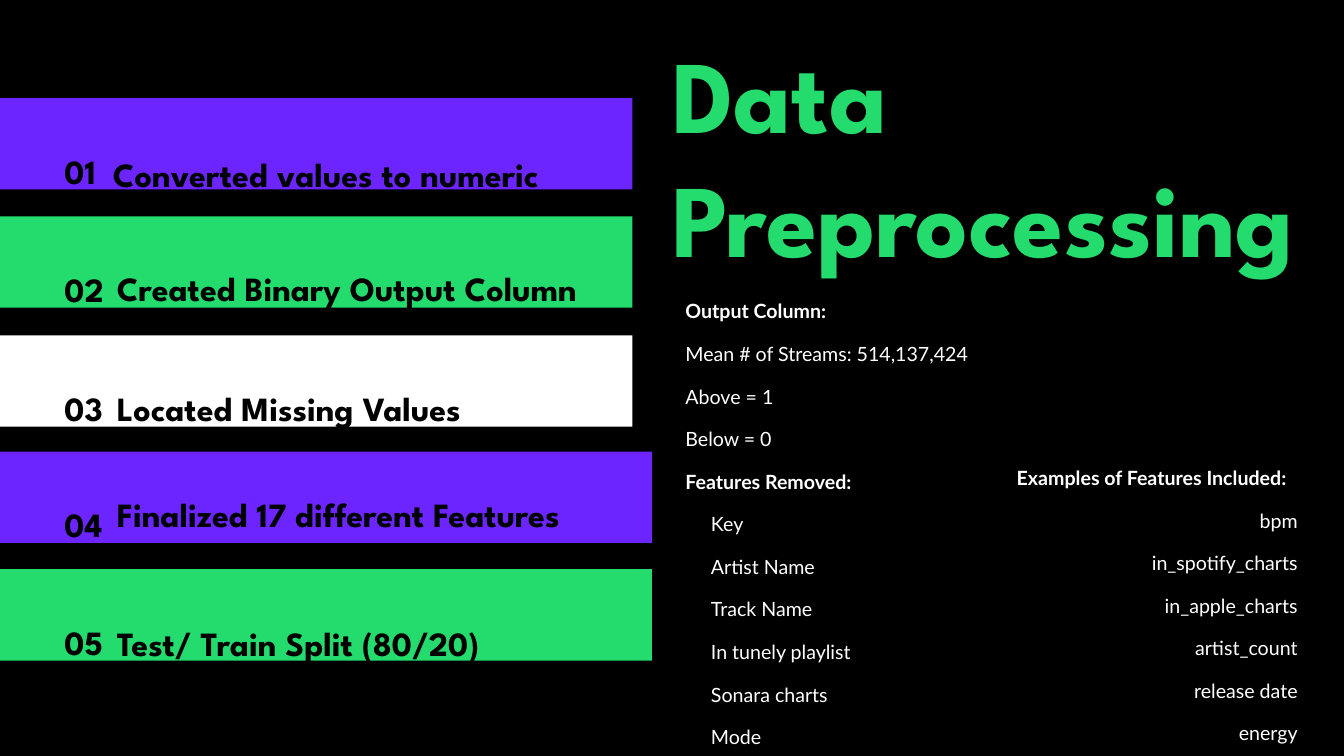
"""Build the data preprocessing slide with five steps and two feature lists."""
from dataclasses import dataclass

import pptx
import pptx.dml.color
import pptx.enum.shapes
import pptx.enum.text
import pptx.util
from pptx.util import Inches


@dataclass(frozen=True)
class Theme:
    black: str = "000000"
    white: str = "FFFFFF"
    purple: str = "6C25FF"
    green: str = "23DC6D"
    heading_font: str = "League Spartan"
    body_font: str = "Lato"
    title_size: float = 110.5
    step_size: float = 36.3
    body_size: float = 21


theme = Theme()
alignments = pptx.enum.text.PP_ALIGN


def add_run(paragraph, text, font_name, size, color, bold):
    run = paragraph.add_run()
    run.text = text
    run.font.name = font_name
    run.font.size = pptx.util.Pt(size)
    run.font.bold = bold
    run.font.color.rgb = pptx.dml.color.RGBColor.from_string(color)


def prepare_frame(shape, left, top, width, height):
    shape.left, shape.top = Inches(left), Inches(top)
    shape.width, shape.height = Inches(width), Inches(height)
    frame = shape.text_frame
    frame.word_wrap = True
    frame.auto_size = pptx.enum.text.MSO_AUTO_SIZE.NONE
    frame.vertical_anchor = pptx.enum.text.MSO_ANCHOR.TOP
    frame.margin_left = frame.margin_right = 0
    frame.margin_top = frame.margin_bottom = 0
    return frame


presentation = pptx.Presentation()
presentation.slide_width = Inches(20)
presentation.slide_height = Inches(11.25)
slide = presentation.slides.add_slide(presentation.slide_layouts[5])
slide.background.fill.solid()
slide.background.fill.fore_color.rgb = pptx.dml.color.RGBColor.from_string(theme.black)

title_frame = prepare_frame(slide.shapes.title, 10, 0.45, 9.41, 3.72)
title_paragraph = title_frame.paragraphs[0]
title_paragraph.alignment = alignments.LEFT
title_paragraph.line_spacing = 1.0
add_run(title_paragraph, "Data Preprocessing", theme.heading_font, theme.title_size, theme.green, True)

steps = [
    ("Converted values to numeric", theme.purple, 1.46, 9.41, 1.68, 1.84, 1.74),
    ("Created Binary Output Column", theme.green, 3.22, 9.41, 1.74, 3.53, 1.74),
    ("Located Missing Values", theme.white, 4.99, 9.41, 1.74, 5.32, 1.74),
    ("Finalized 17 different Features", theme.purple, 6.72, 9.7, 1.74, 7.35, 1.0),
    ("Test/ Train Split (80/20)", theme.green, 8.47, 9.7, 1.74, 8.82, 1.74),
]
for number, step in enumerate(steps, start=1):
    label, color, bar_top, bar_width, label_left, label_top, label_spacing = step
    bar = slide.shapes.add_shape(
        pptx.enum.shapes.MSO_SHAPE.RECTANGLE, 0, Inches(bar_top), Inches(bar_width), Inches(1.36)
    )
    bar.shadow.inherit = False
    bar.fill.solid()
    bar.fill.fore_color.rgb = pptx.dml.color.RGBColor.from_string(color)
    bar.line.fill.background()

    for text, left, top, width, spacing in [
        (f"{number:02d}", 0.96, bar_top + 0.33, 0.87, 1.74),
        (label, label_left, label_top, 8.2, label_spacing),
    ]:
        text_box = slide.shapes.add_textbox(0, 0, 0, 0)
        paragraph = prepare_frame(text_box, left, top, width, 1.06).paragraphs[0]
        paragraph.line_spacing = spacing
        add_run(paragraph, text, theme.heading_font, theme.step_size, theme.black, True)

output_lines = [
    ("Output Column:", True, 0),
    ("Mean # of Streams: 514,137,424", False, 0),
    ("Above = 1", False, 0),
    ("Below = 0", False, 0),
    ("Features Removed:", True, 0),
    ("Key", False, 0.38),
    ("Artist Name", False, 0.38),
    ("Track Name", False, 0.38),
    ("In tunely playlist", False, 0.38),
    ("Sonara charts", False, 0.38),
    ("Mode", False, 0.38),
]
included_lines = [
    ("Examples of Features Included:", True, 0),
    ("bpm", False, 0),
    ("in_spotify_charts", False, 0),
    ("in_apple_charts", False, 0),
    ("artist_count", False, 0),
    ("release date", False, 0),
    ("energy", False, 0),
]
for lines, left, top, width, height, item_alignment in [
    (output_lines, 10.2, 4.17, 4.8, 7.08, alignments.LEFT),
    (included_lines, 15.13, 6.65, 4.18, 4.6, alignments.RIGHT),
]:
    text_box = slide.shapes.add_textbox(0, 0, 0, 0)
    frame = prepare_frame(text_box, left, top, width, height)
    for index, (text, is_heading, indent) in enumerate(lines):
        paragraph = frame.add_paragraph() if index else frame.paragraphs[0]
        paragraph.alignment = alignments.LEFT if is_heading else item_alignment
        paragraph.line_spacing = 1.81
        if indent:
            paragraph._p.get_or_add_pPr().set("marL", str(Inches(indent)))
        add_run(paragraph, text, theme.body_font, theme.body_size, theme.white, is_heading)

presentation.save("out.pptx")
